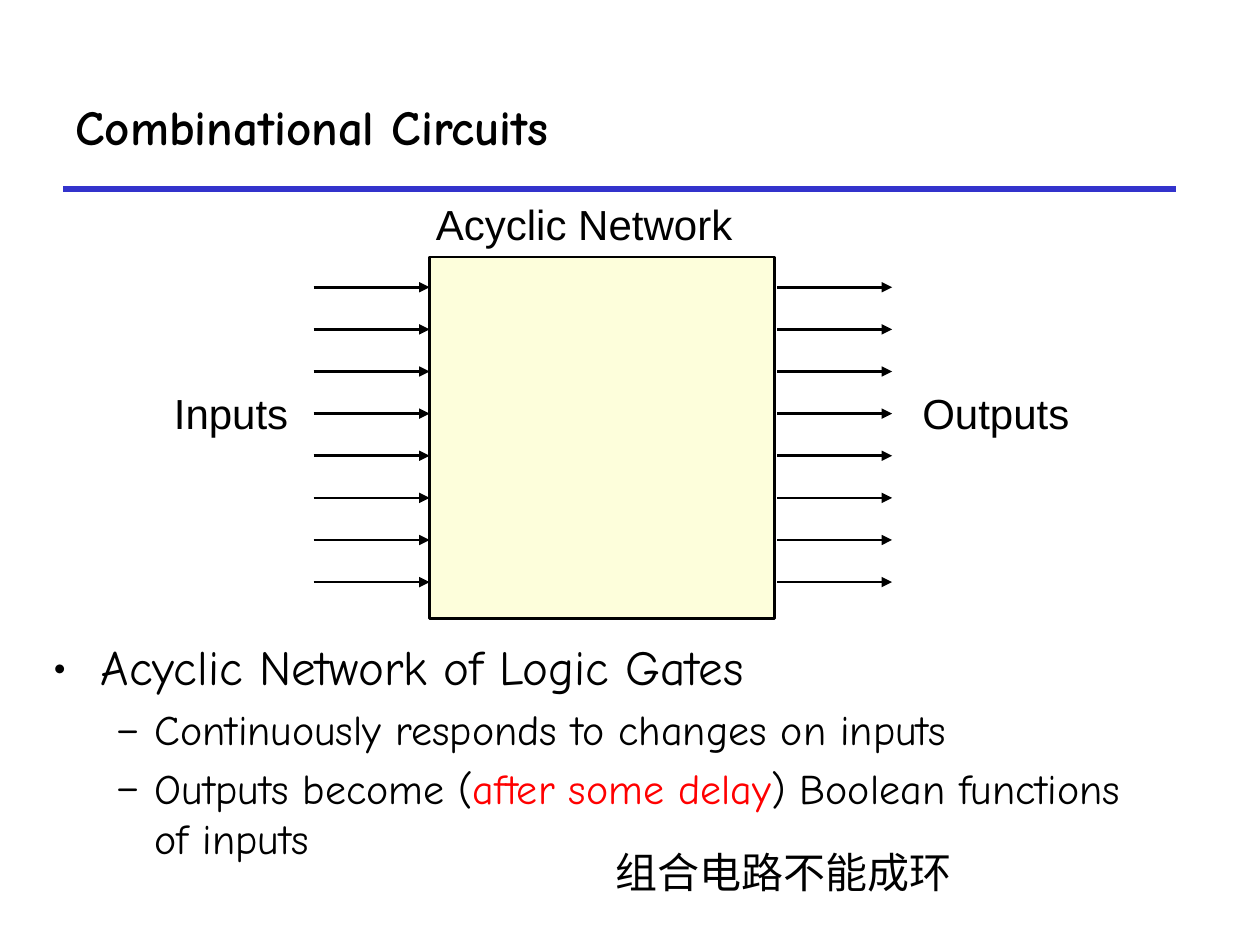
from lxml.etree import SubElement
from pptx import Presentation
from pptx.dml.color import RGBColor
from pptx.enum.shapes import MSO_CONNECTOR, MSO_SHAPE
from pptx.enum.text import MSO_ANCHOR, PP_ALIGN
from pptx.oxml.ns import qn
from pptx.util import Inches, Pt

BLACK = RGBColor(0, 0, 0)
RED = RGBColor(0xFF, 0, 0)
BLUE = RGBColor(0x33, 0x33, 0xCC)
CREAM = RGBColor(0xFC, 0xFE, 0xB9)
HAND = "Comic Neue"
SANS = "Arial"


def add_run(para, text, size=24, font=HAND, color=BLACK, bold=False):
    run = para.add_run()
    run.text = text
    run.font.size = Pt(size)
    run.font.name = font
    run.font.bold = bold
    run.font.color.rgb = color
    props = run._r.get_or_add_rPr()
    SubElement(props, qn("a:ea")).set("typeface", font)


def add_box(slide, left, top, width, height, inset=0.1, wrap=True):
    box = slide.shapes.add_textbox(
        Inches(left), Inches(top), Inches(width), Inches(height))
    frame = box.text_frame
    frame.word_wrap = wrap
    frame.margin_left = frame.margin_right = Inches(inset)
    frame.margin_top = frame.margin_bottom = Inches(0.05)
    return frame


def add_label(slide, text, left, top, width, height=0.51, wrap=False, inset=0.05, **style):
    frame = add_box(slide, left, top, width, height, inset, wrap)
    add_run(frame.paragraphs[0], text, **style)


def set_bullet(para, char, left, hang, level=0):
    """Give the paragraph a bullet that hangs to the left of its text."""
    para.level = level
    props = para._p.get_or_add_pPr()
    props.set("marL", str(Inches(left)))
    props.set("indent", str(-Inches(hang)))
    SubElement(props, qn("a:buFont")).set("typeface", HAND)
    SubElement(props, qn("a:buChar")).set("char", char)


def add_line(slide, x1, x2, y, color=BLACK, width=1.5, arrow=False):
    line = slide.shapes.add_connector(
        MSO_CONNECTOR.STRAIGHT, Inches(x1), Inches(y), Inches(x2), Inches(y))
    line.line.color.rgb = color
    line.line.width = Pt(width)
    if arrow:
        SubElement(line.line._get_or_add_ln(), qn("a:tailEnd")).set("type", "triangle")
    SubElement(line._element.spPr, qn("a:effectLst"))


def add_title(slide, text):
    title = slide.shapes.title
    title.left, title.top = Inches(0.5), Inches(0.5)
    title.width, title.height = Inches(8.83), Inches(1)
    frame = title.text_frame
    frame.vertical_anchor = MSO_ANCHOR.MIDDLE
    para = frame.paragraphs[0]
    para.alignment = PP_ALIGN.LEFT
    add_run(para, text, size=28, bold=True)


def add_block(slide):
    block = slide.shapes.add_shape(
        MSO_SHAPE.RECTANGLE, Inches(3.41), Inches(2.04), Inches(2.74), Inches(2.87))
    block.shadow.inherit = False
    block.fill.solid()
    block.fill.fore_color.rgb = CREAM
    tint = block._element.spPr.find(qn("a:solidFill"))[0]
    SubElement(tint, qn("a:alpha")).set("val", "50000")
    block.line.color.rgb = BLACK
    block.line.width = Pt(1.5)


def add_network(slide):
    add_block(slide)
    count, first, last = 8, 2.28, 4.62
    step = (last - first) / (count - 1)
    for x1, x2 in ((2.49, 3.41), (6.17, 7.08)):
        for i in range(count):
            add_line(slide, x1, x2, first + i * step, arrow=True)
    add_label(slide, "Acyclic Network", 3.41, 1.53, 2.74, wrap=True, font=SANS)
    add_label(slide, "Inputs", 1.33, 3.03, 1.02, font=SANS)
    add_label(slide, "Outputs", 7.27, 3.03, 1.28, font=SANS)


def add_points(slide):
    frame = add_box(slide, 0.32, 5, 8.78, 2.12)
    head = frame.paragraphs[0]
    set_bullet(head, "•", 0.38, 0.38)
    add_run(head, "Acyclic Network of Logic Gates", size=28)
    items = (
        [("Continuously responds to changes on inputs", BLACK)],
        [("Outputs become (", BLACK), ("after some delay", RED),
         (") Boolean functions of inputs", BLACK)],
    )
    for parts in items:
        para = frame.add_paragraph()
        set_bullet(para, "–", 0.81, 0.31, level=1)
        para.space_before = Pt(4.8)
        for text, color in parts:
            add_run(para, text, color=color)


def main():
    deck = Presentation()
    deck.slide_width, deck.slide_height = Inches(10), Inches(7.5)
    slide = deck.slides.add_slide(deck.slide_layouts[5])
    add_line(slide, 0.5, 9.33, 1.5, color=BLUE, width=3)
    add_title(slide, "Combinational Circuits")
    add_points(slide)
    add_network(slide)
    add_label(slide, "组合电路不能成环", 4.79, 6.67, 2.87, height=0.5, inset=0.1)
    deck.save("out.pptx")


if __name__ == "__main__":
    main()
